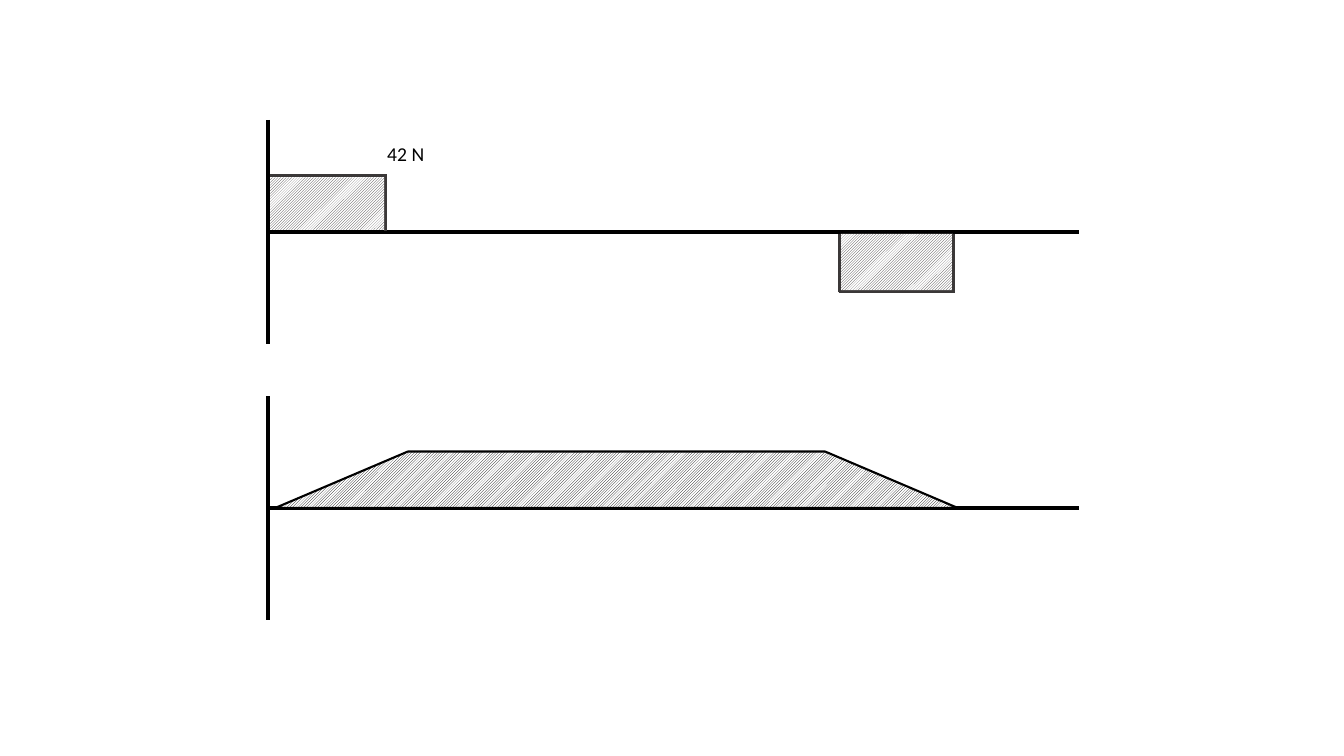
import pptx
import pptx.dml.color
import pptx.enum.dml
import pptx.enum.shapes
import pptx.enum.text
import pptx.util
from dataclasses import dataclass
from lxml import etree

SHAPE = pptx.enum.shapes.MSO_SHAPE
DRAWING_NS = "http://schemas.openxmlformats.org/drawingml/2006/main"


@dataclass(frozen=True)
class Theme:
    ink: str = "000000"
    edge: str = "3B3838"
    paper: str = "FFFFFF"
    font: str = "Calibri"
    label_size: float = 14
    axis_width: float = 3
    edge_width: float = 2.25
    outline_width: float = 1.5


def rgb(color):
    return pptx.dml.color.RGBColor.from_string(color)


class Diagram:
    """Draws on one slide; lengths are columns and rows of a 0.1 inch grid."""

    def __init__(self, slide, theme):
        self.s = slide
        self.theme = theme

    def grid(self, *cells):
        return [pptx.util.Inches(cell / 10) for cell in cells]

    def line(self, x1, y1, x2, y2, color, width):
        c = self.s.shapes.add_connector(
            pptx.enum.shapes.MSO_CONNECTOR.STRAIGHT, *self.grid(x1, y1, x2, y2))
        c.line.color.rgb = rgb(color)
        c.line.width = pptx.util.Pt(width)
        etree.SubElement(c._element.spPr, f"{{{DRAWING_NS}}}effectLst")

    def axes(self, x, y, length, half_height):
        t = self.theme
        self.line(x, y - half_height, x, y + half_height, t.ink, t.axis_width)
        self.line(x, y, x + length, y, t.ink, t.axis_width)

    def edge(self, x1, y1, x2, y2):
        self.line(x1, y1, x2, y2, self.theme.edge, self.theme.edge_width)

    def hatched(self, kind, x, y, w, h, color):
        sp = self.s.shapes.add_shape(kind, *self.grid(x, y, w, h))
        sp.shadow.inherit = False
        sp.fill.patterned()
        sp.fill.pattern = pptx.enum.dml.MSO_PATTERN.LIGHT_UPWARD_DIAGONAL
        sp.fill.fore_color.rgb = rgb(color)
        sp.fill.back_color.rgb = rgb(self.theme.paper)
        sp.line.fill.background()
        return sp

    def block(self, x, y, w, h):
        self.hatched(SHAPE.RECTANGLE, x, y, w, h, self.theme.edge)

    def trapezoid(self, x, y, w, h, slope):
        sp = self.hatched(SHAPE.TRAPEZOID, x, y, w, h, self.theme.ink)
        sp.adjustments[0] = slope
        sp.line.color.rgb = rgb(self.theme.ink)
        sp.line.width = pptx.util.Pt(self.theme.outline_width)

    def label(self, text, x, y, w, h):
        tf = self.s.shapes.add_textbox(*self.grid(x, y, w, h)).text_frame
        tf.word_wrap = True
        tf.auto_size = pptx.enum.text.MSO_AUTO_SIZE.SHAPE_TO_FIT_TEXT
        tf.margin_left = tf.margin_top = tf.margin_right = tf.margin_bottom = 0
        tf.text = text
        font = tf.paragraphs[0].runs[0].font
        font.name = self.theme.font
        font.size = pptx.util.Pt(self.theme.label_size)
        font.color.rgb = rgb(self.theme.ink)


def main():
    prs = pptx.Presentation()
    prs.slide_width = pptx.util.Inches(13.33)
    prs.slide_height = pptx.util.Inches(7.5)
    d = Diagram(prs.slides.add_slide(prs.slide_layouts[6]), Theme())

    # Axes of the shear diagram (top) and the moment diagram (bottom)
    for y in (23, 50.4):
        d.axes(26.6, y, length=80.4, half_height=11.1)

    # Positive shear block with its value
    d.edge(26.8, 17.4, 38.4, 17.4)
    d.edge(38.25, 22.9, 38.25, 17.3)
    d.block(26.8, 17.6, 11.3, 5.2)
    d.label("42 N", 38.4, 14.1, 9.2, 2.4)

    # Negative shear block
    d.edge(83.2, 28.9, 94.7, 28.9)
    d.block(83.4, 23.2, 11.1, 5.6)
    for x in (94.6, 83.3):
        d.edge(x, 29, x, 23.2)

    # Bending moment
    d.trapezoid(27.3, 44.8, 67.7, 5.6, slope=2.35)

    prs.save("out.pptx")


if __name__ == "__main__":
    main()
